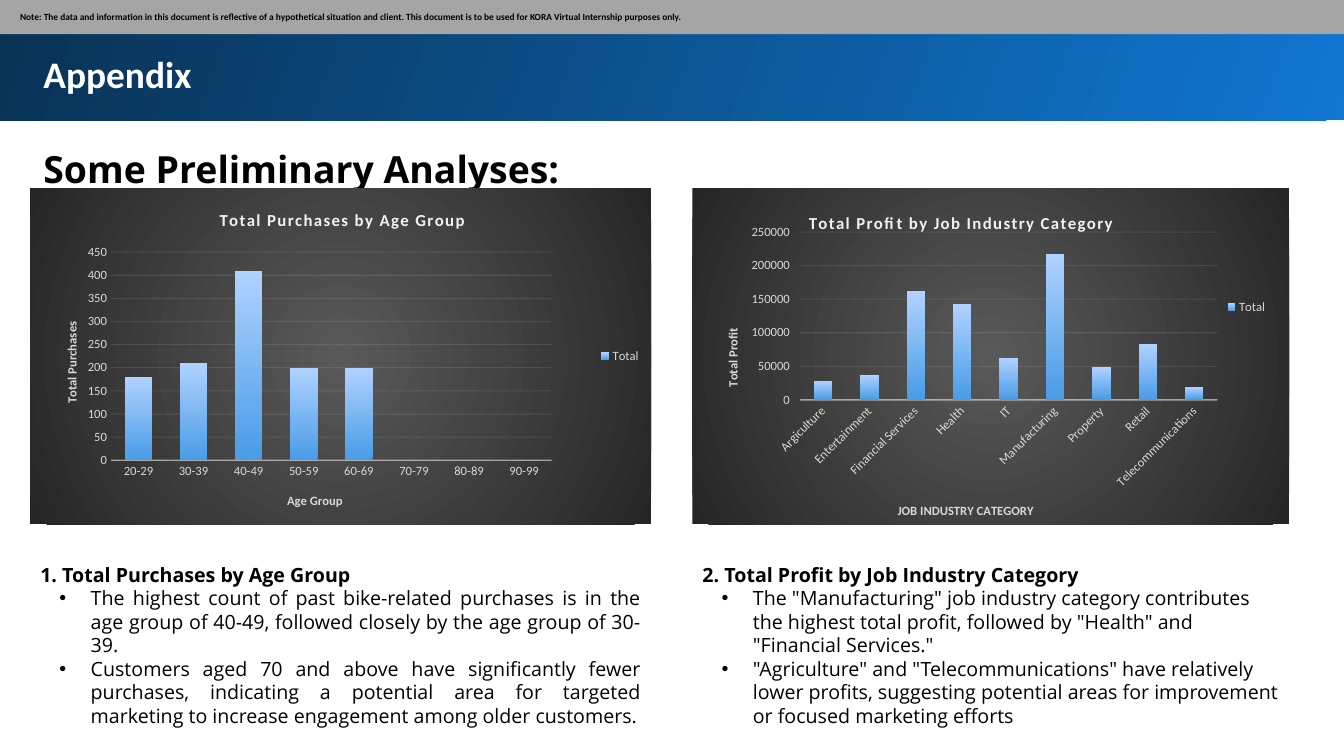
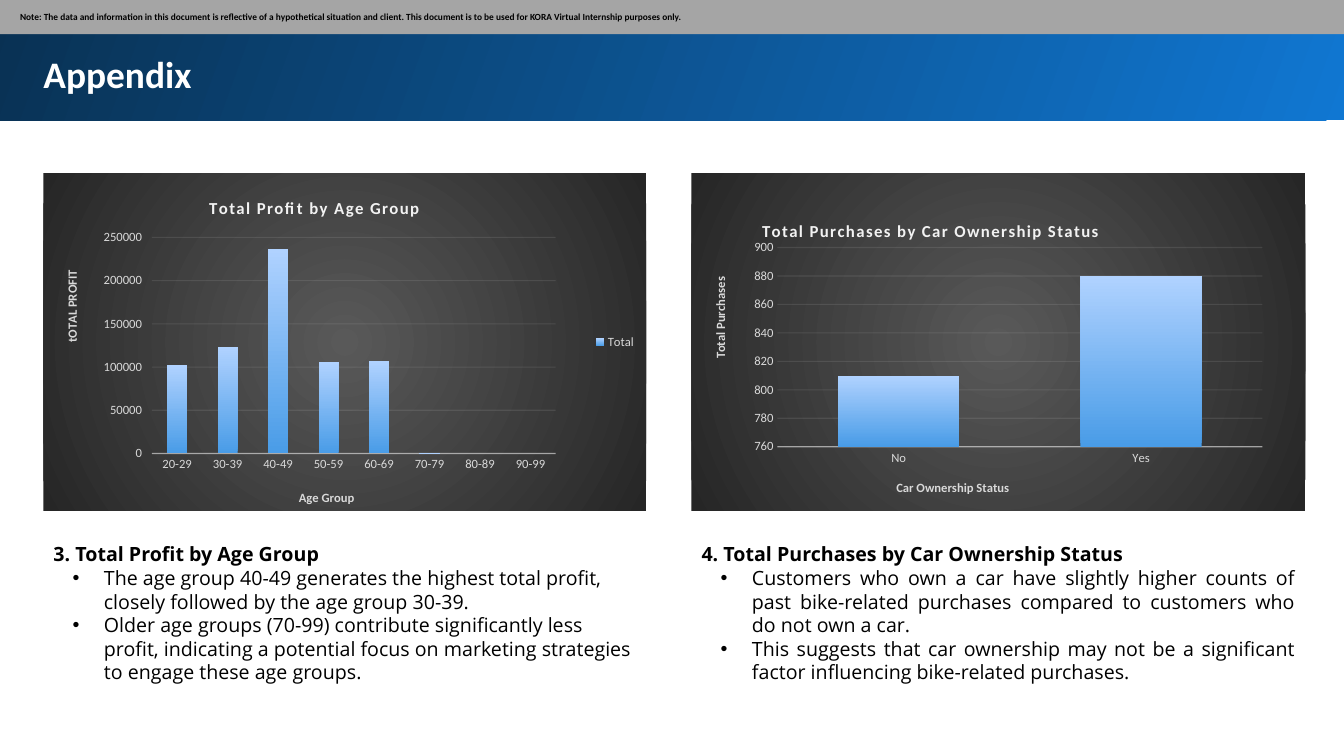
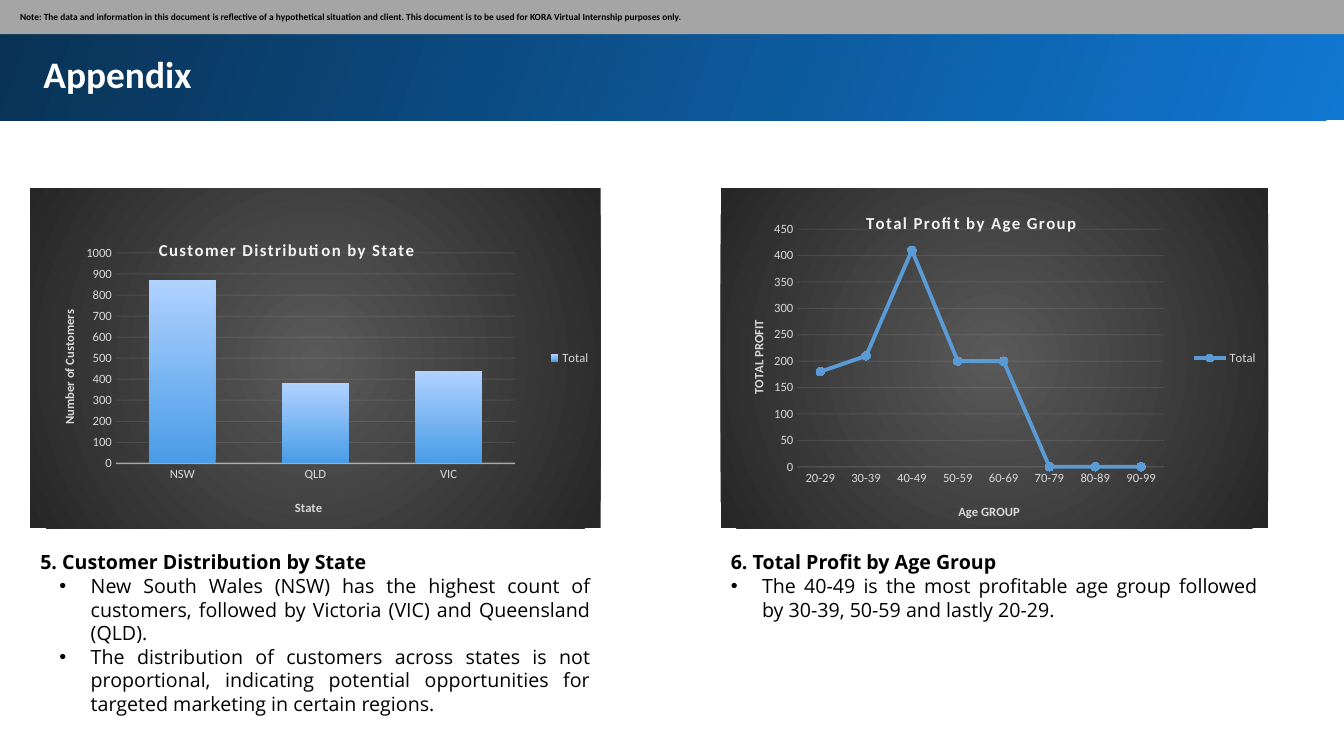
from dataclasses import dataclass

from lxml.etree import SubElement
from pptx import Presentation
from pptx.chart.data import CategoryChartData
from pptx.dml.color import RGBColor
from pptx.enum.chart import XL_CHART_TYPE, XL_LEGEND_POSITION, XL_MARKER_STYLE, XL_TICK_MARK
from pptx.enum.shapes import MSO_SHAPE
from pptx.enum.text import MSO_ANCHOR, MSO_AUTO_SIZE, PP_ALIGN
from pptx.oxml import parse_xml
from pptx.oxml.ns import nsdecls, qn
from pptx.util import Pt

# Shared style
COLORS = {
    "white": "FFFFFF",
    "black": "000000",
    "note_bar": "A5A5A5",
    "band_bright": "1077D2",
    "band_dark": "093153",
    "chart_center": "595959",
    "chart_edge": "262626",
    "chart_title": "F2F2F2",
    "chart_text": "D9D9D9",
    "chart_line": "F2F2F2",
    "column_bottom": "499CE7",
    "column_top": "B0D2FF",
    "series_line": "5B9BD5",
}
HEADING_FONT = "Calibri"
BODY_FONT = "Open Sans"
NOTE = (
    "Note: The data and information in this document is reflective of a hypothetical situation "
    "and client. This document is to be used for KORA Virtual Internship purposes only."
)
AGE_GROUPS = ["20-29", "30-39", "40-49", "50-59", "60-69", "70-79", "80-89", "90-99"]
PURCHASES_BY_AGE = [180, 210, 410, 200, 200, 0, 0, 0]


@dataclass
class ChartContent:
    """Data and layout of one chart; places are fractions of the chart's size."""
    title: str
    category_title: str
    value_title: str
    categories: list
    values: list
    scale: tuple
    plot_place: tuple
    title_place: tuple
    category_title_place: tuple
    value_title_place: tuple
    kind: XL_CHART_TYPE = XL_CHART_TYPE.COLUMN_CLUSTERED
    series_name: str = "Total"
    gap: int = 100
    overlap: int = -24
    has_legend: bool = True
    legend_place: tuple = ()
    label_rotation: int = 0
    value_tick: XL_TICK_MARK = XL_TICK_MARK.NONE


@dataclass
class Panel:
    """A chart with its findings below; left and width are in points."""
    left: float
    width: float
    chart: ChartContent
    heading: str
    findings: list
    justified: bool = True
    margin: float = 36


def color(name):
    return RGBColor.from_string(COLORS[name])


# Text
def style_font(font, size, color_name, name=HEADING_FONT, bold=False):
    font.name = name
    font.size = Pt(size)
    font.bold = bold
    font.color.rgb = color(color_name)


def add_run(paragraph, text, size, color_name, name=HEADING_FONT, bold=False):
    run = paragraph.add_run()
    run.text = text
    style_font(run.font, size, color_name, name, bold)
    return run


def set_insets(frame, inset):
    frame.margin_left = frame.margin_right = Pt(inset)
    frame.margin_top = frame.margin_bottom = Pt(inset)


def place(shape, left, top, width, height):
    shape.left, shape.top = Pt(left), Pt(top)
    shape.width, shape.height = Pt(width), Pt(height)


def set_bullet(paragraph, margin, bullet=None):
    properties = paragraph._p.get_or_add_pPr()
    properties.set("marL", str(Pt(margin)))
    properties.set("indent", str(Pt(-22.3) if bullet else 0))
    if bullet:
        SubElement(properties, qn("a:buFont")).set("typeface", "Arial")
        SubElement(properties, qn("a:buChar")).set("char", bullet)
    else:
        SubElement(properties, qn("a:buNone"))


def add_findings(placeholder, panel, top):
    place(placeholder, panel.left, top, panel.width, 126)
    frame = placeholder.text_frame
    frame.auto_size = MSO_AUTO_SIZE.NONE
    for index, text in enumerate([panel.heading, *panel.findings]):
        is_heading = index == 0
        paragraph = frame.paragraphs[0] if is_heading else frame.add_paragraph()
        paragraph.space_before = Pt(0)
        paragraph.line_spacing = Pt(16.8)
        justified = panel.justified and not is_heading
        paragraph.alignment = PP_ALIGN.JUSTIFY if justified else PP_ALIGN.LEFT
        if is_heading:
            set_bullet(paragraph, 0)
        else:
            paragraph.level = 1 if panel.margin == 36 else 0
            set_bullet(paragraph, panel.margin, "\u2022")
        add_run(paragraph, text, 14, "black", BODY_FONT, is_heading)


# Bands and titles
def set_gradient(fill, start, end, angle):
    fill.gradient()
    fill.gradient_angle = angle
    for stop, name, position in zip(fill.gradient_stops, (start, end), (0, 1)):
        stop.color.rgb = color(name)
        stop.position = position


def add_bar(slide, left, top, width, height):
    bar = slide.shapes.add_shape(MSO_SHAPE.RECTANGLE, Pt(left), Pt(top), Pt(width), Pt(height))
    bar.shadow.inherit = False
    bar.line.fill.background()
    return bar


def add_header(slide):
    band = add_bar(slide, -1.4, -2.2, 964.8, 88)
    set_gradient(band.fill, "band_bright", "band_dark", 160)
    title = slide.shapes.title
    title.element.addprevious(band.element)

    place(title, 21.6, 27.4, 899.3, 52)
    frame = title.text_frame
    frame.auto_size = MSO_AUTO_SIZE.NONE
    frame.vertical_anchor = MSO_ANCHOR.TOP
    set_insets(frame, 9.4)
    frame.paragraphs[0].alignment = PP_ALIGN.LEFT
    add_run(frame.paragraphs[0], "Appendix", 26.7, "white", bold=True)

    note_bar = add_bar(slide, -0.7, -0.7, 963.4, 25.2)
    note_bar.fill.solid()
    note_bar.fill.fore_color.rgb = color("note_bar")
    frame = note_bar.text_frame
    frame.vertical_anchor = MSO_ANCHOR.MIDDLE
    set_insets(frame, 3.6)
    frame.margin_left = Pt(15)
    frame.paragraphs[0].alignment = PP_ALIGN.LEFT
    add_run(frame.paragraphs[0], NOTE, 6.7, "black", bold=True)


def add_subtitle(slide, text):
    box = slide.shapes.add_textbox(Pt(21.6), Pt(87.8), Pt(899.3), Pt(57))
    box.text_frame.word_wrap = True
    set_insets(box.text_frame, 9.4)
    paragraph = box.text_frame.paragraphs[0]
    paragraph.line_spacing = Pt(39)
    add_run(paragraph, text, 26.7, "black", BODY_FONT, True)


# Charts
def set_layout(element, fractions):
    """Place a title or legend by (x, y), or a plot area by (x, y, w, h)."""
    for old_layout in element.findall(qn("c:layout")):
        element.remove(old_layout)
    inner = '<c:layoutTarget val="inner"/>' if len(fractions) == 4 else ""
    modes = '<c:xMode val="edge"/><c:yMode val="edge"/>'
    sizes = "".join(f'<c:{key} val="{value}"/>' for key, value in zip("xywh", fractions))
    layout = parse_xml(
        f'<c:layout {nsdecls("c")}><c:manualLayout>{inner}{modes}{sizes}'
        "</c:manualLayout></c:layout>"
    )
    for tag in ("c:tx", "c:legendPos"):
        if element.find(qn(tag)) is not None:
            element.find(qn(tag)).addnext(layout)
            return
    element.insert(0, layout)


def set_alpha(element, percent):
    for rgb in element.iter(qn("a:srgbClr")):
        SubElement(rgb, qn("a:alpha")).set("val", str(percent * 1000))


def fill_chart_area(chart):
    stops = "".join(
        f'<a:gs pos="{position}"><a:srgbClr val="{COLORS[name]}"/></a:gs>'
        for position, name in ((0, "chart_center"), (100000, "chart_edge"))
    )
    properties = parse_xml(
        f'<c:spPr {nsdecls("c", "a")}><a:gradFill><a:gsLst>{stops}</a:gsLst>'
        '<a:path path="circle"><a:fillToRect l="50000" t="50000" r="50000" b="50000"/></a:path>'
        "</a:gradFill><a:ln><a:noFill/></a:ln></c:spPr>"
    )
    chart.element.find(qn("c:chart")).addnext(properties)


def style_title(title, text, size, color_name, fractions):
    run = add_run(title.text_frame.paragraphs[0], text, size, color_name, bold=True)
    set_layout(title.element, fractions)
    return run


def style_axis(axis, title, fractions, tick=XL_TICK_MARK.NONE):
    axis.major_tick_mark = tick
    axis.minor_tick_mark = XL_TICK_MARK.NONE
    style_font(axis.tick_labels.font, 9, "chart_text")
    style_title(axis.axis_title, title, 9, "chart_text", fractions)


def style_line(line, color_name, width):
    line.color.rgb = color(color_name)
    line.width = Pt(width)


def style_axes(chart, content, is_line):
    categories = chart.category_axis
    style_axis(categories, content.category_title, content.category_title_place)
    categories.has_major_gridlines = False
    style_line(categories.format.line, "chart_line", 0.75 if is_line else 1)
    set_alpha(categories._element.find(qn("c:spPr")), 10 if is_line else 54)
    if content.label_rotation:
        body = categories._element.find(qn("c:txPr")).find(qn("a:bodyPr"))
        body.set("rot", str(content.label_rotation * 60000))

    values = chart.value_axis
    style_axis(values, content.value_title, content.value_title_place, content.value_tick)
    values.minimum_scale, values.maximum_scale, values.major_unit = content.scale
    values.format.line.fill.background()
    values.has_major_gridlines = True
    style_line(values.major_gridlines.format.line, "chart_line", 0.75)
    set_alpha(values._element.find(qn("c:majorGridlines")), 10)
    body = values.axis_title.text_frame._txBody.find(qn("a:bodyPr"))
    body.set("rot", "-5400000")
    body.set("vert", "horz")


def style_series(plot, content, is_line):
    plot.vary_by_categories = False
    series = plot.series[0]
    if is_line:
        series.smooth = False
        style_line(series.format.line, "series_line", 2.75)
        series.marker.style = XL_MARKER_STYLE.CIRCLE
        series.marker.size = 6
        series.marker.format.fill.solid()
        series.marker.format.fill.fore_color.rgb = color("series_line")
        series.marker.format.line.fill.background()
    else:
        plot.gap_width = content.gap
        plot.overlap = content.overlap
        set_gradient(series.format.fill, "column_bottom", "column_top", 90)


def add_chart(slide, content, left, top, width, height):
    data = CategoryChartData()
    data.categories = content.categories
    data.add_series(content.series_name, content.values)
    frame = slide.shapes.add_chart(
        content.kind, Pt(left), Pt(top), Pt(width), Pt(height), data
    )
    chart = frame.chart
    is_line = content.kind == XL_CHART_TYPE.LINE_MARKERS
    fill_chart_area(chart)
    style_font(chart.font, 10, "black")

    chart.has_title = True
    run = style_title(chart.chart_title, content.title, 12, "chart_title", content.title_place)
    run._r.get_or_add_rPr().set("spc", "100")
    style_axes(chart, content, is_line)
    style_series(chart.plots[0], content, is_line)
    set_layout(chart.plots[0]._element.getparent(), content.plot_place)

    chart.has_legend = content.has_legend
    if content.has_legend:
        chart.legend.position = XL_LEGEND_POSITION.RIGHT
        chart.legend.include_in_layout = False
        style_font(chart.legend.font, 9, "chart_text")
        if content.legend_place:
            set_layout(chart.legend._element, content.legend_place)


def add_analysis_slide(presentation, panels, chart_top, chart_height, text_top, subtitle=None):
    slide = presentation.slides.add_slide(presentation.slide_layouts[3])
    add_header(slide)
    if subtitle:
        add_subtitle(slide, subtitle)
    for index, panel in enumerate(panels, start=1):
        add_chart(slide, panel.chart, panel.left, chart_top, panel.width, chart_height)
        add_findings(slide.placeholders[index], panel, text_top)


def main():
    presentation = Presentation()
    presentation.slide_width, presentation.slide_height = Pt(960), Pt(540)

    # Purchases by age, profit by industry
    purchases_by_age = ChartContent(
        "Total Purchases by Age Group", "Age Group", "Total Purchases",
        AGE_GROUPS, PURCHASES_BY_AGE, (0, 450, 50),
        (0.13, 0.19, 0.71, 0.62), (0.3, 0.05), (0.41, 0.9), (0.05, 0.39))
    profit_by_industry = ChartContent(
        "Total Profit by Job Industry Category", "JOB INDUSTRY CATEGORY", "Total Profit",
        ["Argiculture", "Entertainment", "Financial Services", "Health", "IT",
         "Manufacturing", "Property", "Retail", "Telecommunications"],
        [28000, 37000, 162000, 143000, 63000, 218000, 49000, 83000, 19000],
        (0, 250000, 50000),
        (0.18, 0.13, 0.7, 0.5), (0.19, 0.06), (0.34, 0.93), (0.05, 0.41),
        gap=150, overlap=0, legend_place=(0.89, 0.32), label_rotation=-45,
        value_tick=XL_TICK_MARK.OUTSIDE)
    add_analysis_slide(presentation, [
        Panel(21.6, 443.5, purchases_by_age, "1. Total Purchases by Age Group", [
            "The highest count of past bike-related purchases is in the age group of 40-49, "
            "followed closely by the age group of 30-39.",
            "Customers aged 70 and above have significantly fewer purchases, indicating a "
            "potential area for targeted marketing to increase engagement among older customers."]),
        Panel(494.6, 426.2, profit_by_industry, "2. Total Profit by Job Industry Category", [
            'The "Manufacturing" job industry category contributes the highest total profit, '
            'followed by "Health" and "Financial Services."',
            '"Agriculture" and "Telecommunications" have relatively lower profits, suggesting '
            "potential areas for improvement or focused marketing efforts"], justified=False),
    ], 134.6, 239.8, 398.2, "Some Preliminary Analyses:")

    # Profit by age, purchases by car ownership
    profit_by_age = ChartContent(
        "Total Profit by Age Group", "Age Group", "tOTAL PROFIT",
        AGE_GROUPS, [102000, 123000, 237000, 106000, 107000, 1000, 0, 0], (0, 250000, 50000),
        (0.18, 0.19, 0.67, 0.64), (0.27, 0.06), (0.42, 0.93), (0.03, 0.28),
        gap=150, overlap=0, value_tick=XL_TICK_MARK.OUTSIDE)
    purchases_by_car = ChartContent(
        "Total Purchases by Car Ownership Status", "Car Ownership Status", "Total Purchases",
        ["No", "Yes"], [810, 880], (760, 900, 20),
        (0.14, 0.22, 0.79, 0.59), (0.11, 0.13), (0.33, 0.9), (0.03, 0.3),
        kind=XL_CHART_TYPE.COLUMN_STACKED, series_name="Series 1", has_legend=False)
    add_analysis_slide(presentation, [
        Panel(31, 430.6, profit_by_age, "3. Total Profit by Age Group", [
            "The age group 40-49 generates the highest total profit, closely followed by the "
            "age group 30-39.",
            "Older age groups (70-99) contribute significantly less profit, indicating a "
            "potential focus on marketing strategies to engage these age groups."],
            justified=False),
        Panel(493.9, 438.5, purchases_by_car, "4. Total Purchases by Car Ownership Status", [
            "Customers who own a car have slightly higher counts of past bike-related "
            "purchases compared to customers who do not own a car.",
            "This suggests that car ownership may not be a significant factor influencing "
            "bike-related purchases."]),
    ], 123.8, 241.2, 383.8)

    # Customers by state, trend by age
    customers_by_state = ChartContent(
        "Customer Distribution by State", "State", "Number of Customers",
        ["NSW", "QLD", "VIC"], [870, 380, 440], (0, 1000, 100),
        (0.15, 0.19, 0.7, 0.62), (0.22, 0.14), (0.46, 0.91), (0.05, 0.35))
    trend_by_age = ChartContent(
        "Total Profit by Age Group", "Age GROUP", "TOTAL PROFIT",
        AGE_GROUPS, PURCHASES_BY_AGE, (0, 450, 50),
        (0.14, 0.12, 0.67, 0.7), (0.26, 0.06), (0.43, 0.92), (0.05, 0.38),
        kind=XL_CHART_TYPE.LINE_MARKERS)
    add_analysis_slide(presentation, [
        Panel(21.6, 407.5, customers_by_state, "5. Customer Distribution by State", [
            "New South Wales (NSW) has the highest count of customers, followed by Victoria "
            "(VIC) and Queensland (QLD).",
            "The distribution of customers across states is not proportional, indicating "
            "potential opportunities for targeted marketing in certain regions."]),
        Panel(514.8, 391, trend_by_age, "6. Total Profit by Age Group", [
            "The 40-49 is the most profitable age group followed by 30-39, 50-59 and lastly "
            "20-29."], margin=22.3),
    ], 134.6, 242.6, 389.5)

    presentation.save("out.pptx")


main()
